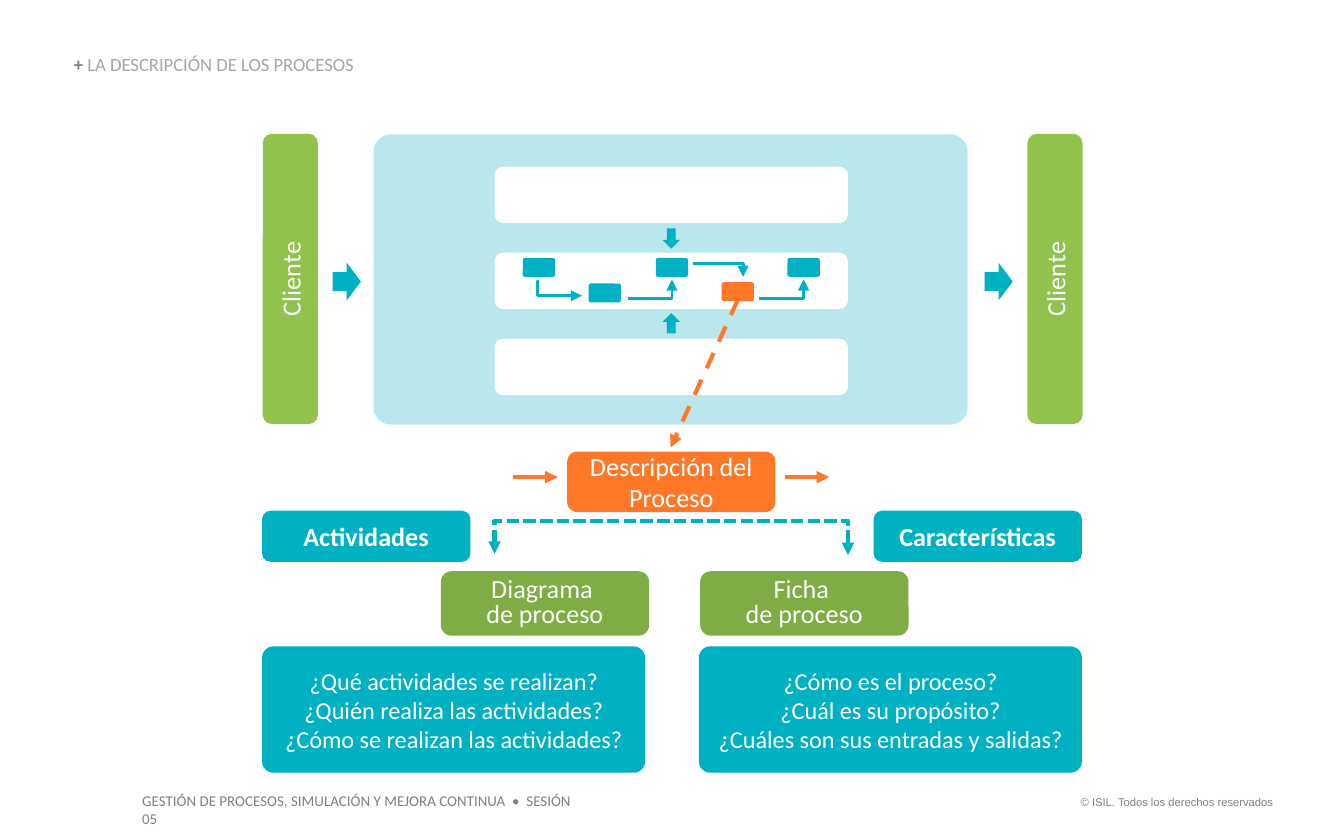
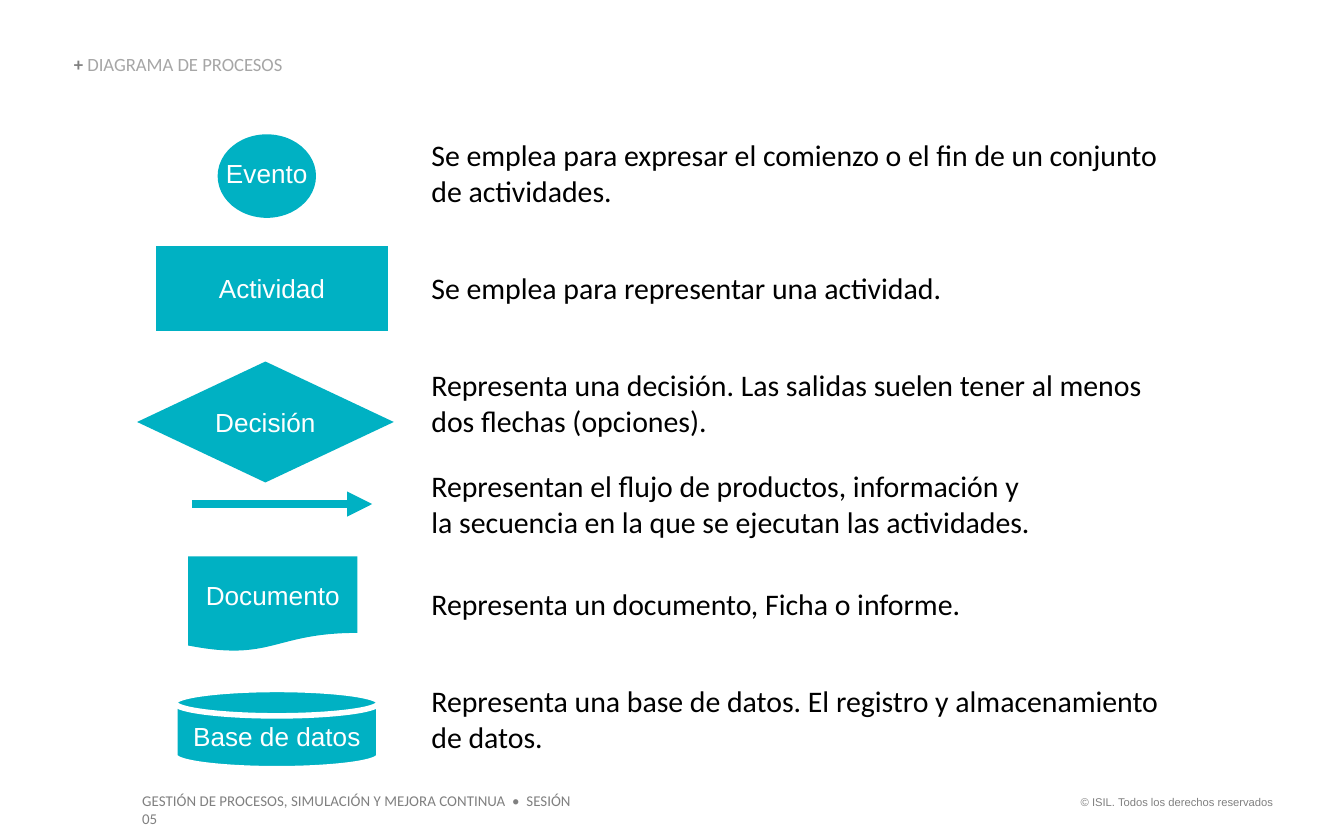
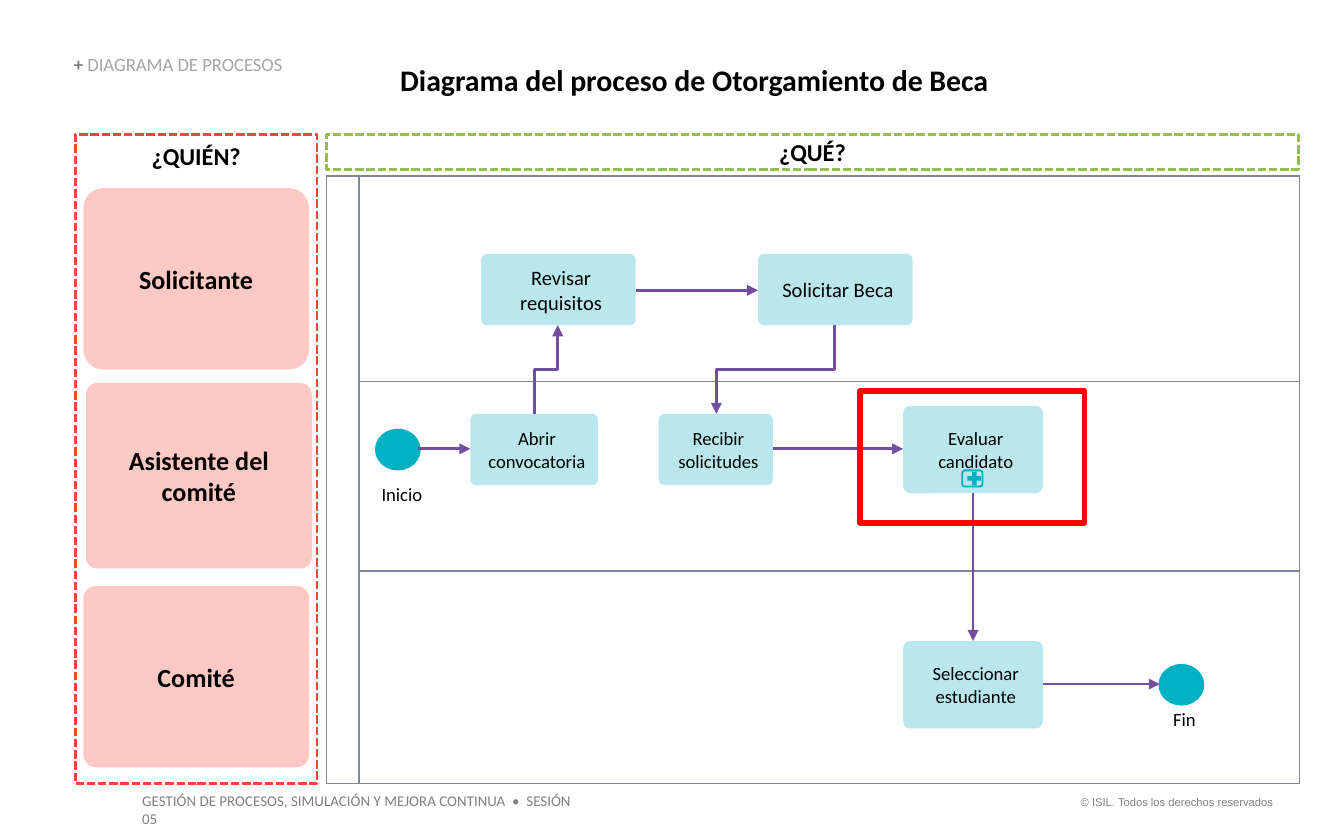
from copy import deepcopy
from pptx import Presentation
from pptx.dml.color import RGBColor
from pptx.enum.dml import MSO_LINE
from pptx.enum.shapes import MSO_CONNECTOR, MSO_SHAPE as SHAPE
from pptx.enum.text import MSO_ANCHOR, PP_ALIGN
from pptx.oxml.ns import qn
from pptx.oxml.xmlchemy import OxmlElement
from pptx.util import Pt

PX = 9144  # one px is 1/100 inch
COLORS = {
    "teal": "00B1C3", "pale": "B9E7ED", "lime": "92C24E", "green": "80AC45",
    "orange": "FF7828", "pink": "FEC9C5", "coral": "EE4639", "red": "FF0000",
    "violet": "714FA0", "slate": "808799", "gray": "808080",
    "silver": "A6A6A6", "white": "FFFFFF", "black": "000000",
}
LEFT, CENTER, RIGHT = PP_ALIGN.LEFT, PP_ALIGN.CENTER, PP_ALIGN.RIGHT
TOP, MIDDLE, BOTTOM = MSO_ANCHOR.TOP, MSO_ANCHOR.MIDDLE, MSO_ANCHOR.BOTTOM
DASH, DOTS = MSO_LINE.DASH, MSO_LINE.SQUARE_DOT
ROUND = SHAPE.ROUNDED_RECTANGLE

# Shared content
COURSE = "GESTIÓN DE PROCESOS, SIMULACIÓN Y MEJORA CONTINUA  •  SESIÓN 05"
RIGHTS = "© ISIL. Todos los derechos reservados"

# Slide 1: levels of a process and its description
LANES = [124, 188, 252]
STEPS = [(389, 192, "teal"), (438, 211, "teal"), (488, 192, "teal"),
         (537, 210, "orange"), (586, 192, "teal")]
# start x, start y, end x, end y, x of the bend
FLOWS = [(401, 209, 433, 220, 400), (467, 222, 500, 208, 500),
         (516, 196, 553, 206, 553), (565, 222, 598, 208, 598)]
ARROWS = [((493, 170, 13, 15), 0), ((493, 233, 13, 15), 180),
          ((729, 199, 28, 21), 270), ((244, 199, 28, 21), 270)]
CLIENTS = [108, 677]
LABELS = [
    ((422, 336, 155, 45), "orange", "Descripción del Proceso", {}),
    ((195, 380, 155, 38), "teal", "Actividades", {"bold": True}),
    ((650, 380, 155, 38), "teal", "Características", {"bold": True}),
    ((328, 425, 155, 48), "green", "Diagrama \vde proceso", {"space": 0.8}),
    ((521, 425, 155, 48), "green", "Ficha \vde proceso", {"space": 0.8}),
]
ASKS = [
    (195, "¿Qué actividades se realizan?\n¿Quién realiza las actividades?\n"
          "¿Cómo se realizan las actividades?"),
    (520, "¿Cómo es el proceso?\n¿Cuál es su propósito?\n"
          "¿Cuáles son sus entradas y salidas?"),
]

# Slide 2: symbols and their meanings
SYMBOLS = [
    (SHAPE.FLOWCHART_PROCESS, (116, 183, 173, 63), "Actividad", None),
    (SHAPE.FLOWCHART_DECISION, (102, 269, 191, 90), "Decisión", None),
    (SHAPE.FLOWCHART_DOCUMENT, (140, 414, 126, 71), "Documento", None),
    (SHAPE.FLOWCHART_MAGNETIC_DISK, (130, 513, 152, 59), "Base de datos",
     ("white", 3)),
]
NOTES = [
    (102, "Se emplea para expresar el comienzo o el fin de un conjunto de actividades."),
    (201, "Se emplea para representar una actividad."),
    (273, "Representa una decisión. Las salidas suelen tener al menos dos flechas (opciones)."),
    (348, "Representan el flujo de productos, información y \v"
          "la secuencia en la que se ejecutan las actividades."),
    (436, "Representa un documento, Ficha o informe."),
    (508, "Representa una base de datos. El registro y almacenamiento de datos."),
]

# Slide 3: scholarship process
COLS, ROWS = [24, 700], [153, 141, 158]
ROLES = [((62, 140, 168, 135), "Solicitante", 0.11),
         ((64, 285, 168, 138), "Asistente del comité", 0.06),
         ((62, 436, 168, 135), "Comité", 0.07)]
TASKS = [
    ((350, 308, 95, 53), "Abrir convocatoria", 10),
    ((358, 189, 115, 53), "Revisar requisitos", 11),
    ((564, 189, 115, 53), "Solicitar Beca", 11),
    ((490, 308, 85, 53), "Recibir solicitudes", 10),
    ((672, 302, 104, 65), "Evaluar candidato", 10),
    ((672, 477, 104, 65), "Seleccionar estudiante", 10),
]
ENDS = [((280, 320), (274, 354), "Inicio"), ((863, 495), (863, 522), "Fin")]
LINKS = [(311, 334, 350, 334), (473, 216, 564, 216), (575, 334, 672, 334),
         (724, 367, 724, 477), (776, 509, 863, 509)]
TURNS = [(398, 308, 415, 242, 275), (621, 242, 533, 308, 275)]


def color(name):
    return RGBColor.from_string(COLORS[name])


def px(*values):
    return [round(v * PX) for v in values]


def style(run, size, ink, bold=False, font="Calibri"):
    run.font.size, run.font.bold, run.font.name = Pt(size), bold, font
    run.font.color.rgb = color(ink)


def write(frame, text, size=14, ink="white", bold=False, font="Calibri",
          align=CENTER, anchor=MIDDLE, inset=None, space=None, wrap=True):
    frame.text = text
    frame.word_wrap, frame.vertical_anchor = wrap, anchor
    if inset:
        (frame.margin_left, frame.margin_top,
         frame.margin_right, frame.margin_bottom) = px(*inset)
    for par in frame.paragraphs:
        par.alignment = align
        if space:
            par.line_spacing = space
        for run in par.runs:
            style(run, size, ink, bold, font)
        # Line breaks take the size of the text around them
        for gap in par._p.findall(qn("a:br")):
            gap.insert(0, deepcopy(par.runs[0]._r.rPr))


def label(slide, at, text, size, ink="black", **look):
    box = slide.shapes.add_textbox(*px(*at))
    write(box.text_frame, text, size, ink,
          **{"align": LEFT, "anchor": TOP, **look})


def stroke(line, ink, width, dash=None):
    line.color.rgb, line.width = color(ink), Pt(width)
    if dash:
        line.dash_style = dash


def shape(slide, kind, at, fill=None, line=None, text="", adj=None, rot=0,
          **look):
    item = slide.shapes.add_shape(kind, *px(*at))
    item.shadow.inherit = False
    item.rotation = rot
    if adj is not None:
        item.adjustments[0] = adj
    if fill:
        item.fill.solid()
        item.fill.fore_color.rgb = color(fill)
    else:
        item.fill.background()
    if line:
        stroke(item.line, *line)
    else:
        item.line.fill.background()
    if text:
        write(item.text_frame, text, **look)


def finish(link, ink, width, dash=None, both=False):
    stroke(link.line, ink, width, dash)
    link._element.spPr.append(OxmlElement("a:effectLst"))
    for tag in ["a:headEnd", "a:tailEnd"] if both else ["a:tailEnd"]:
        end = OxmlElement(tag)
        end.set("type", "triangle")
        link.line._get_or_add_ln().append(end)


def arrow(slide, ends, *look):
    finish(slide.shapes.add_connector(MSO_CONNECTOR.STRAIGHT, *px(*ends)), *look)


def elbow(slide, x1, y1, x2, y2, bend, *look, down=False, both=False):
    """Bent arrow; bend is the x of its middle leg, or the y if down."""
    link = slide.shapes.add_connector(MSO_CONNECTOR.ELBOW, *px(x1, y1, x2, y2))
    props = link._element.spPr
    start, stop = (y1, y2) if down else (x1, x2)
    if down:
        wide, high = abs(y2 - y1), abs(x2 - x1)
        link.left, link.top, link.width, link.height = px(
            (x1 + x2 - wide) / 2, (y1 + y2 - high) / 2, wide, high)
        frame = props.find(qn("a:xfrm"))
        frame.set("rot", "5400000")
        frame.set("flipH", str(int(y2 < y1)))
        frame.set("flipV", str(int(x2 > x1)))
    geom = props.find(qn("a:prstGeom"))
    if bend == stop:
        geom.set("prst", "bentConnector2")
    else:
        guide = OxmlElement("a:gd")
        guide.set("name", "adj1")
        guide.set("fmla", f"val {round((bend - start) / (stop - start) * 100000)}")
        geom.find(qn("a:avLst")).append(guide)
    finish(link, *look, both=both)


def border(cell, ink, width):
    props = cell._tc.get_or_add_tcPr()
    for spot, side in enumerate(["a:lnL", "a:lnR", "a:lnT", "a:lnB"]):
        line, fill, tint = map(OxmlElement, [side, "a:solidFill", "a:srgbClr"])
        line.set("w", str(Pt(width)))
        tint.set("val", COLORS[ink])
        fill.append(tint)
        line.append(fill)
        props.insert(spot, line)


def page(deck, name):
    """New slide with the shared title and footers."""
    slide = deck.slides.add_slide(deck.slide_layouts[5])
    title = slide.shapes.title
    title.left, title.top, title.width, title.height = px(55, 41, 266, 15)
    write(title.text_frame, "+ ", 10, "gray", True, align=LEFT, anchor=BOTTOM,
          inset=(0, 0, 0, 0), space=0.9)
    run = title.text_frame.paragraphs[0].add_run()
    run.text = name
    style(run, 10, "silver")
    label(slide, (788, 587, 169, 20), RIGHTS, 6, "gray", font="Arial", align=RIGHT)
    label(slide, (96, 584, 353, 24), COURSE, 8, "gray")
    return slide


def levels(deck):
    slide = page(deck, "LA DESCRIPCIÓN DE LOS PROCESOS")
    # Process map
    shape(slide, ROUND, (278, 100, 442, 216), "pale", adj=0.06)
    for y in LANES:
        shape(slide, ROUND, (368, y, 263, 42), "white", adj=0.15)
    for x, y, fill in STEPS:
        shape(slide, ROUND, (x, y, 24, 14), fill, adj=0.12)
    for flow in FLOWS:
        elbow(slide, *flow, "teal", 1.5)
    for x in CLIENTS:
        shape(slide, ROUND, (x, 187, 216, 41), "lime", text="Cliente", rot=270)
    for at, rot in ARROWS:
        shape(slide, SHAPE.DOWN_ARROW, at, "teal", rot=rot)
    # Description below the map
    for at, fill, text, look in LABELS:
        shape(slide, ROUND, at, fill, text=text, **look)
    for x in (382, 584):
        arrow(slide, (x, 355, x + 33, 355), "orange", 2.25)
    arrow(slide, (549, 223, 499, 333), "orange", 2.25, DASH)
    for x, text in ASKS:
        shape(slide, ROUND, (x, 481, 285, 94), "teal", text=text, size=13, adj=0.09)
    elbow(slide, 368, 412, 631, 413, 387, "teal", 2.25, DOTS, down=True, both=True)


def symbols(deck):
    slide = page(deck, "DIAGRAMA DE PROCESOS")
    for kind, at, text, line in SYMBOLS:
        shape(slide, kind, at, "teal", line, text, font="Arial")
    arrow(slide, (143, 375, 277, 375), "teal", 4.5)
    shape(slide, SHAPE.OVAL, (164, 102, 69, 58), "teal", ("teal", 3))
    label(slide, (158, 112, 81, 34), "Evento", 14, "white", font="Arial",
          align=CENTER, wrap=False)
    for y, text in NOTES:
        label(slide, (321, y, 545, 54), text, 16, inset=(0, 0, 0, 0))


def grant(deck):
    slide = page(deck, "DIAGRAMA DE PROCESOS")
    label(slide, (288, 41, 464, 37), "Diagrama del proceso de Otorgamiento de Beca",
          16, bold=True, wrap=False)
    # Lanes
    grid = slide.shapes.add_table(
        len(ROWS), len(COLS), *px(243, 131, sum(COLS), sum(ROWS))).table
    grid.first_row = grid.horz_banding = False
    for col, wide in zip(grid.columns, COLS):
        col.width = wide * PX
    for row, high in zip(grid.rows, ROWS):
        row.height = high * PX
    for cell in grid.iter_cells():
        cell.fill.solid()
        cell.fill.fore_color.rgb = color("white")
        border(cell, "slate", 1)
    grid.cell(0, 0).merge(grid.cell(len(ROWS) - 1, 0))
    # Who and what
    head = {"size": 13, "ink": "black", "bold": True}
    shape(slide, SHAPE.RECTANGLE, (243, 100, 723, 26), None, ("lime", 1.5, DOTS),
          "¿QUÉ?", **head)
    shape(slide, SHAPE.RECTANGLE, (56, 100, 180, 483), None, ("coral", 1.5, DOTS),
          "¿QUIÉN?", anchor=TOP, **head)
    for at, text, adj in ROLES:
        shape(slide, ROUND, at, "pink", text=text, adj=adj, ink="black", bold=True)
    # Flow
    for at, text, size in TASKS:
        shape(slide, ROUND, at, "pale", text=text, adj=0.08, size=size,
              ink="black", inset=(4, 0, 0, 0))
    for dot, spot, text in ENDS:
        shape(slide, SHAPE.OVAL, (*dot, 32, 29), "teal", ("teal", 1.5))
        label(slide, (*spot, 65, 27), text, 10)
    for link in LINKS:
        arrow(slide, link, "violet", 1.5)
    for turn in TURNS:
        elbow(slide, *turn, "violet", 1.5, down=True)
    # Subprocess mark and highlight
    shape(slide, SHAPE.MATH_PLUS, (718, 349, 14, 14), "teal")
    shape(slide, ROUND, (716, 350, 15, 12), None, ("teal", 1))
    shape(slide, SHAPE.RECTANGLE, (640, 291, 167, 98), None, ("red", 3))


def main():
    deck = Presentation()
    deck.slide_width, deck.slide_height = px(1000, 625)
    for build in (levels, symbols, grant):
        build(deck)
    deck.save("out.pptx")


if __name__ == "__main__":
    main()
